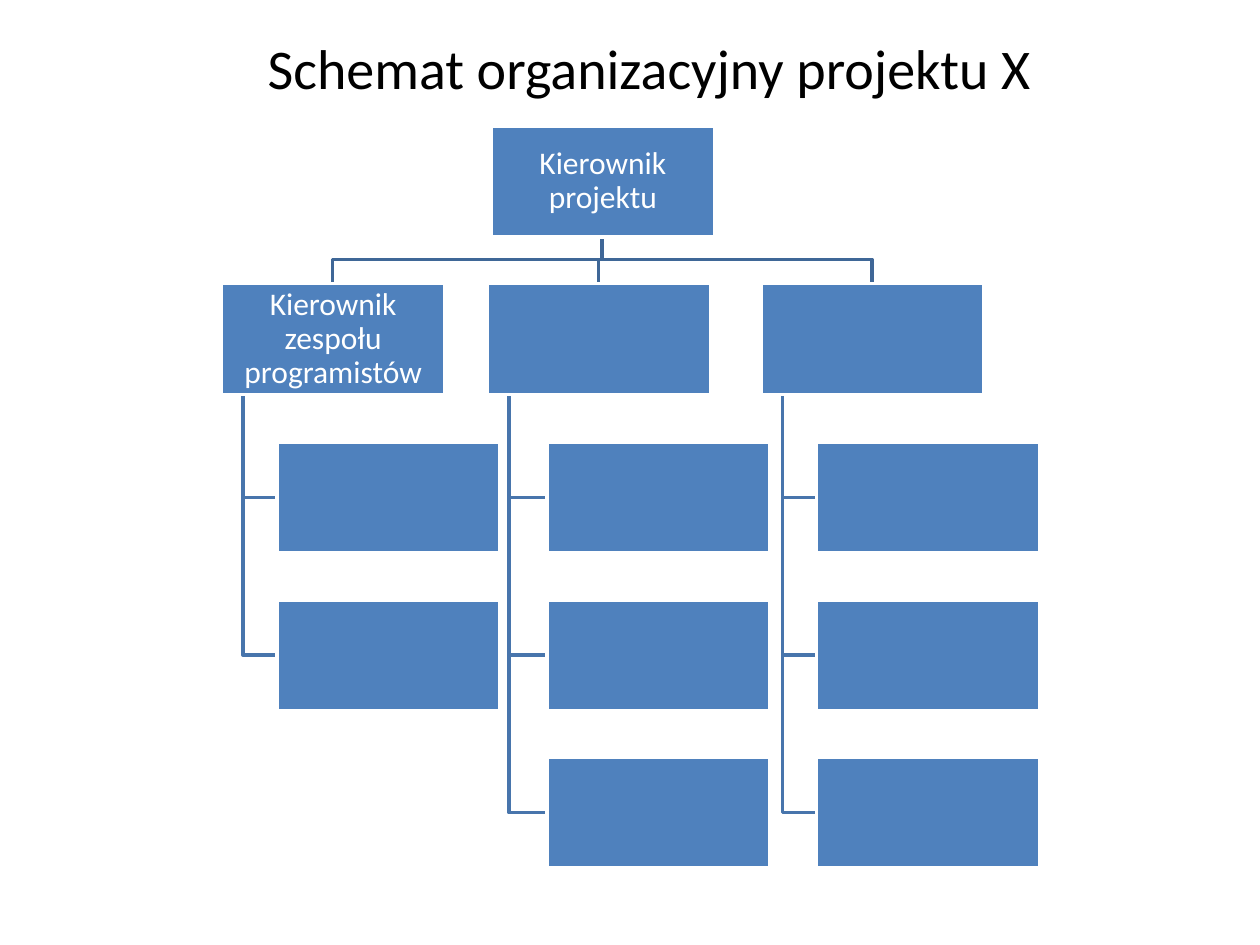
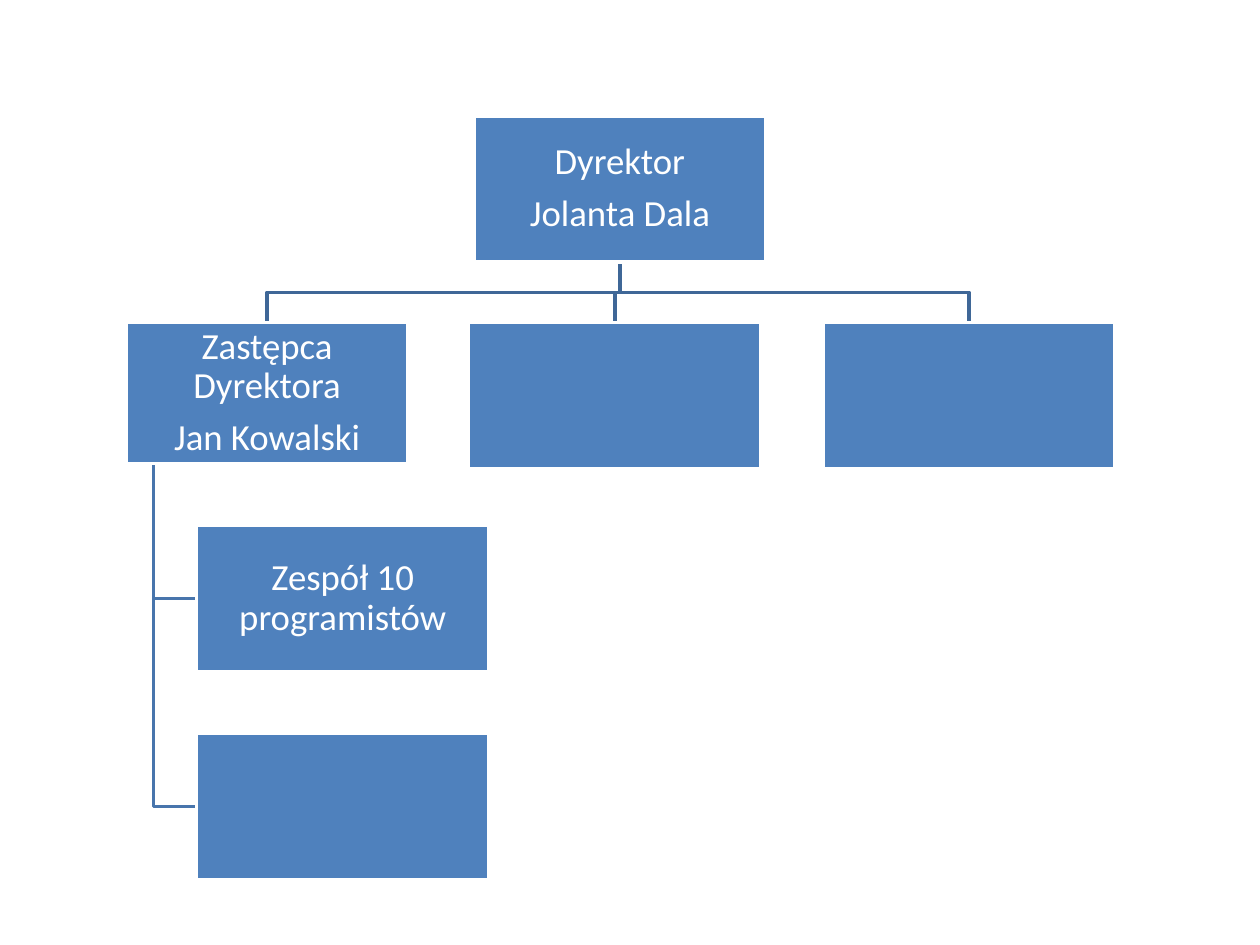
from pptx import Presentation
from pptx import util as u
from pptx.dml.color import RGBColor
from pptx.enum import text

PX = u.Inches(1) // 100  # one px is a hundredth of an inch
FONT = "Calibri"
BLACK, WHITE = "000000", "FFFFFF"
BOX_FILL, BRANCH_LINE, MEMBER_LINE = "4F81BD", "3F6797", "4875AC"
TITLE_ONLY, BLANK = 5, 6


def color(hex_string):
    return RGBColor.from_string(hex_string)


class OrgDeck:
    """Holds the presentation, the current slide and the shared style."""

    def __init__(self):
        self.presentation = Presentation()
        self.presentation.slide_width = 1000 * PX
        self.presentation.slide_height = 750 * PX
        self.slide = None

    def new_slide(self, layout):
        layouts = self.presentation.slide_layouts
        self.slide = self.presentation.slides.add_slide(layouts[layout])

    def style(self, paragraph, size, hex_string):
        paragraph.alignment = text.PP_ALIGN.CENTER
        paragraph.font.name = FONT
        paragraph.font.size = u.Pt(size)
        paragraph.font.color.rgb = color(hex_string)

    def title(self, words, left, top, width, height):
        title = self.slide.shapes.title
        title.left, title.top = left * PX, top * PX
        title.width, title.height = width * PX, height * PX
        title.text_frame.text = words
        title.text_frame.auto_size = text.MSO_AUTO_SIZE.NONE
        self.style(title.text_frame.paragraphs[0], 32, BLACK)

    def elbow(self, points, hex_string):
        builder = self.slide.shapes.build_freeform(*points[0], scale=PX)
        builder.add_line_segments(points[1:], close=False)
        shape = builder.convert_to_shape()
        shape.shadow.inherit = False
        shape.fill.background()
        shape.line.color.rgb = color(hex_string)
        shape.line.width = u.Pt(2)

    def box(self, words, left, top, width, height, size):
        shape = self.slide.shapes.add_shape(
            1, left * PX, top * PX, width * PX, height * PX)
        shape.shadow.inherit = False
        shape.fill.solid()
        shape.fill.fore_color.rgb = color(BOX_FILL)
        shape.line.color.rgb = color(WHITE)
        shape.line.width = u.Pt(2)
        if not words:
            return
        frame = shape.text_frame
        frame.text = words
        frame.word_wrap = True
        frame.vertical_anchor = text.MSO_ANCHOR.MIDDLE
        frame.margin_left = frame.margin_right = PX
        frame.margin_top = frame.margin_bottom = PX
        for paragraph in frame.paragraphs:
            self.style(paragraph, size, WHITE)
            paragraph.line_spacing = 0.9
            paragraph.space_after = u.Pt(round(size * 0.35))

    def org_chart(self, head, head_left, rows, box_size, branches, size):
        """Each branch is (name, left, width, height, member left, members)."""
        width, height = box_size
        head_top, branch_top, *member_tops = rows
        head_middle, head_bottom = head_left + width // 2, head_top + height
        bus = (head_bottom + branch_top) // 2
        boxes = [(head, head_left, head_top, width, height)]

        # Connectors lie behind the boxes
        for name, left, branch_width, branch_height, member_left, members in branches:
            boxes.append((name, left, branch_top, branch_width, branch_height))
            middle = left + branch_width // 2
            self.elbow([(head_middle, head_bottom), (head_middle, bus),
                        (middle, bus), (middle, branch_top)], BRANCH_LINE)
            spine = left + branch_width // 10
            for member, top in zip(members, member_tops):
                boxes.append((member, member_left, top, width, height))
                center = top + height // 2
                self.elbow([(spine, branch_top + branch_height),
                            (spine, center), (member_left, center)], MEMBER_LINE)
        for box in boxes:
            self.box(*box, size)


def main():
    deck = OrgDeck()

    # Project chart
    deck.new_slide(TITLE_ONLY)
    deck.title("Schemat organizacyjny projektu X", 51, 21, 929, 64)
    deck.org_chart(
        "Kierownik projektu", 390, (100, 225, 351, 476, 601), (177, 88),
        [("Kierownik zespołu programistów", 176, 177, 88, 220, [""] * 2),
         ("", 387, 177, 88, 434, [""] * 3),
         ("", 604, 177, 88, 648, [""] * 3)],
        size=18)

    # Management chart
    deck.new_slide(BLANK)
    deck.org_chart(
        "Dyrektor\nJolanta Dala", 376, (92, 256, 417, 582), (232, 116),
        [("Zastępca Dyrektora\nJan Kowalski", 100, 224, 112, 156,
          ["Zespół 10 programistów", ""]),
         ("", 372, 232, 116, 0, []),
         ("", 653, 232, 116, 0, [])],
        size=21)

    deck.presentation.save("out.pptx")


if __name__ == "__main__":
    main()
